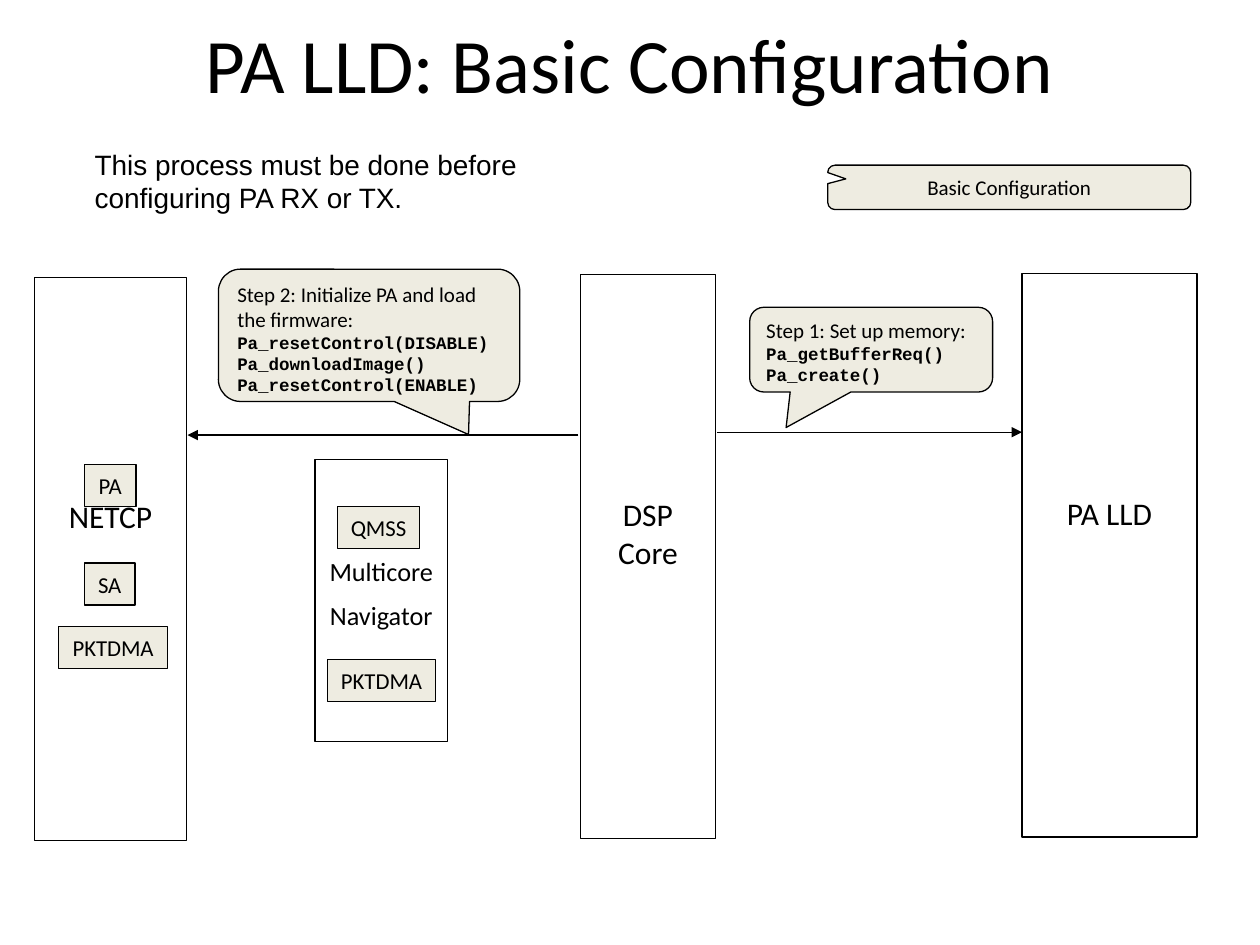
from pptx import Presentation
from pptx.dml.color import RGBColor
from pptx.enum.shapes import MSO_CONNECTOR, MSO_SHAPE
from pptx.enum.text import MSO_ANCHOR, PP_ALIGN
from pptx.oxml.ns import qn
from pptx.util import Pt

RECT = MSO_SHAPE.RECTANGLE
CALLOUT = MSO_SHAPE.ROUNDED_RECTANGULAR_CALLOUT
STRAIGHT = MSO_CONNECTOR.STRAIGHT
TOP, MIDDLE = MSO_ANCHOR.TOP, MSO_ANCHOR.MIDDLE
LEFT, CENTER = PP_ALIGN.LEFT, PP_ALIGN.CENTER
BLACK, BEIGE = "000000", "EEECE1"
LABEL_H = 24


def color(value):
    return RGBColor.from_string(value)


def write(tf, lines, size, align=LEFT, font="Calibri", gap=0):
    tf.text = "\n".join(lines)
    for i, p in enumerate(tf.paragraphs):
        p.alignment = align
        if i and gap:
            p.space_before = Pt(gap)
        for r in p.runs:
            r.font.name, r.font.size = font, Pt(size)
            r.font.color.rgb = color(BLACK)


def outlined(s, kind, box, anchor, fill=None):
    """Add a black-outlined shape, filled only if a fill is given."""
    sp = s.shapes.add_shape(kind, *map(Pt, box))
    sp.shadow.inherit = False
    if fill:
        sp.fill.solid()
        sp.fill.fore_color.rgb = color(fill)
    else:
        sp.fill.background()
    sp.line.color.rgb = color(BLACK)
    sp.line.width = Pt(0.75)
    sp.text_frame.vertical_anchor = anchor
    return sp


def block(s, box, lines, size, text_top, labels=()):
    """Draw a tall module; labels are (text, dx, dy, width) from its corner."""
    sp = outlined(s, RECT, box, TOP)
    sp.text_frame.margin_top = Pt(text_top)
    write(sp.text_frame, lines, size, CENTER, gap=size / 2)
    x, y = box[:2]
    for text, dx, dy, w in labels:
        label = outlined(s, RECT, (x + dx, y + dy, w, LABEL_H), MIDDLE, BEIGE)
        label.text_frame.word_wrap = False
        write(label.text_frame, [text], 13, CENTER)


def callout(s, box, tail, lines, align=LEFT, anchor=TOP):
    """Draw a callout whose lines after the first are code."""
    sp = outlined(s, CALLOUT, box, anchor, BEIGE)
    sp.adjustments[0], sp.adjustments[1] = tail
    write(sp.text_frame, lines, 12, align)
    for p in sp.text_frame.paragraphs[1:]:
        for r in p.runs:
            r.font.name, r.font.size, r.font.bold = "Courier New", Pt(10), True


def arrow(s, x1, x2, y):
    c = s.shapes.add_connector(STRAIGHT, Pt(x1), Pt(y), Pt(x2), Pt(y))
    c.line.color.rgb = color(BLACK)
    c.line.width = Pt(0.75)
    ln = c.line._get_or_add_ln()
    ln.append(ln.makeelement(qn("a:tailEnd"), {"type": "triangle"}))
    sp_pr = ln.getparent()
    sp_pr.append(sp_pr.makeelement(qn("a:effectLst"), {}))


def heading(s, title_box, note_box):
    title = s.shapes.title
    title.left, title.top, title.width, title.height = map(Pt, title_box)
    title.text_frame.vertical_anchor = MIDDLE
    write(title.text_frame, ["PA LLD: Basic Configuration"], 44, CENTER)
    note = s.shapes.add_textbox(*map(Pt, note_box))
    note.text_frame.word_wrap = True
    write(note.text_frame,
          ["This process must be done before configuring PA RX or TX."],
          16, font="Arial")


def main():
    prs = Presentation()
    prs.slide_width, prs.slide_height = Pt(720), Pt(540)
    s = prs.slides.add_slide(prs.slide_layouts[5])
    heading(s, (36, 6, 648, 60), (47, 80.6, 315.4, 46))

    block(s, (180, 262.8, 75.8, 161), ["Multicore", "Navigator"], 15, 54.4,
          [("QMSS", 12.8, 26.5, 47), ("PKTDMA", 7, 114, 62)])
    block(s, (331.8, 157, 77, 322), ["DSP Core"], 18, 125.9)
    block(s, (19.6, 158.4, 87.2, 322), ["NETCP"], 18, 125.5,
          [("PA", 28.6, 107, 29.5), ("SA", 28.6, 163.3, 29),
           ("PKTDMA", 14, 199.6, 62)])
    block(s, (584, 156.3, 100, 322), ["PA LLD"], 18, 125.9)

    arrow(s, 409.7, 584, 247)
    callout(s, (428.4, 175.6, 138.8, 48.4), (-0.35, 0.92),
            ["Step 1: Set up memory:", "Pa_getBufferReq()", "Pa_create()"])
    arrow(s, 330.5, 107.2, 248.6)
    callout(s, (124.8, 153.8, 172.2, 75.6), (0.33, 0.75),
            ["Step 2: Initialize PA and load the firmware:",
             "Pa_resetControl(DISABLE)", "Pa_downloadImage()",
             "Pa_resetControl(ENABLE)"])
    callout(s, (473, 94.4, 207.5, 25.4), (-0.45, -0.19),
            ["Basic Configuration"], CENTER, MIDDLE)
    prs.save("out.pptx")


if __name__ == "__main__":
    main()
